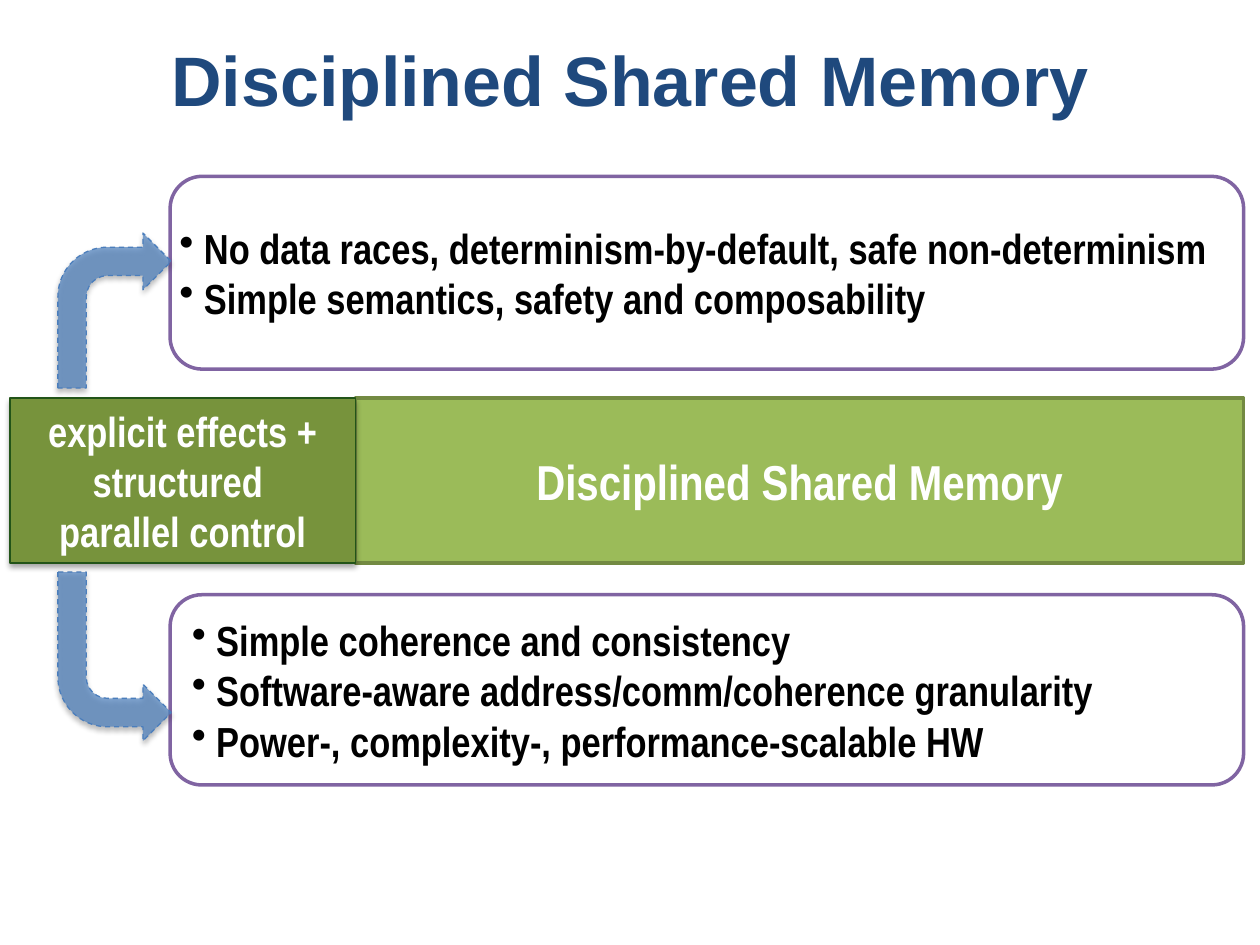
from lxml import etree
from pptx import Presentation
from pptx.dml.color import RGBColor
from pptx.enum import dml, shapes, text
from pptx.oxml import ns
from pptx.util import Inches, Pt

NAVY = RGBColor(0x1F, 0x49, 0x7D)
LIME = RGBColor(0x9B, 0xBB, 0x59)
MOSS = RGBColor(0x73, 0x8A, 0x42)
OLIVE = RGBColor(0x77, 0x93, 0x3C)
PINE = RGBColor(0x22, 0x54, 0x18)
PURPLE = RGBColor(0x80, 0x64, 0xA2)
BLUE = RGBColor(0x4F, 0x81, 0xBD)
EDGE = RGBColor(0x4B, 0x7E, 0xBC)
WHITE = RGBColor(0xFF, 0xFF, 0xFF)
BLACK = RGBColor(0, 0, 0)

KIND = shapes.MSO_SHAPE
LEFT, MID = text.PP_ALIGN.LEFT, text.PP_ALIGN.CENTER
TOPIC = "Disciplined Shared Memory"


def add(parent, tag, **attrs):
    return etree.SubElement(parent, ns.qn(tag), attrs)


def format(item, **values):
    for name, value in values.items():
        setattr(item, name, value)


class Deck:
    font = "Arial Narrow"

    def __init__(self):
        self.prs = Presentation()
        self.prs.slide_width, self.prs.slide_height = Inches(10), Inches(7.5)
        self.slide = self.prs.slides.add_slide(self.prs.slide_layouts[6])

    def label(self, shape, lines, size, color, align=MID, inset=0.1, font=font):
        """Fill a shape with bold paragraphs; left-aligned ones get bullets."""
        frame = shape.text_frame
        format(frame, word_wrap=True, vertical_anchor=text.MSO_ANCHOR.MIDDLE,
               margin_left=Inches(inset), margin_right=Inches(inset))
        frame.text = "\n".join(lines)
        for para in frame.paragraphs:
            para.alignment = align
            for run in para.runs:
                format(run.font, name=font, size=Pt(size), bold=True)
                run.font.color.rgb = color
            if align == LEFT:
                add(para._p.get_or_add_pPr(), "a:buChar", char="•")

    def title(self, words):
        box = self.slide.shapes.add_textbox(Inches(0.5), 0, Inches(9), Inches(1.25))
        self.label(box, [words], 40, NAVY, font="Arial")

    def shape(self, kind, area, fill, edge, width, shade=False):
        item = self.slide.shapes.add_shape(kind, *map(Inches, area))
        item.fill.solid()
        item.fill.fore_color.rgb = fill
        item.line.color.rgb = edge
        item.line.width = Pt(width)
        item.shadow.inherit = False
        if shade:
            glow = add(item._element.spPr.find(ns.qn("a:effectLst")), "a:outerShdw",
                       blurRad="40000", dist="23000", dir="5400000", rotWithShape="0")
            add(add(glow, "a:srgbClr", val="000000"), "a:alpha", val="35000")
        return item

    def panel(self, top, high, lines, inset):
        item = self.shape(KIND.ROUNDED_RECTANGLE, (1.35, top, 8.52, high),
                          WHITE, PURPLE, 2)
        self.label(item, lines, 24, BLACK, LEFT, inset)

    def arrow(self, top, high, down=False):
        item = self.shape(KIND.BENT_ARROW, (0.46, top, 0.9, high),
                          BLUE, EDGE, 0.75, True)
        item.line.dash_style = dml.MSO_LINE.DASH
        color = item._element.spPr.find(ns.qn("a:solidFill"))[0]
        add(color, "a:alpha", val="72000")
        if down:
            item.rotation = 180
            item._element.spPr.find(ns.qn("a:xfrm")).set("flipH", "1")


def main():
    deck = Deck()
    deck.title(TOPIC)

    edge, top, high = 2.82, 3.16, 1.31
    bar = deck.shape(KIND.RECTANGLE, (edge, top, 7.05, high), LIME, MOSS, 2)
    deck.label(bar, [TOPIC], 28, WHITE)

    deck.panel(1.4, 1.53, [
        " No data races, determinism-by-default, safe non-determinism",
        " Simple semantics, safety and composability"], 0)
    deck.panel(4.72, 1.51, [
        " Simple coherence and consistency",
        " Software-aware address/comm/coherence granularity",
        " Power-, complexity-, performance-scalable HW"], 0.1)
    deck.arrow(1.85, 1.23)
    deck.arrow(4.54, 1.34, down=True)

    cause = deck.shape(KIND.RECTANGLE, (0.08, top, edge - 0.08, high),
                       OLIVE, PINE, 0.75, True)
    deck.label(cause, ["explicit effects +", "structured ", "parallel control"],
               24, WHITE, inset=0)
    deck.prs.save("out.pptx")


if __name__ == "__main__":
    main()
